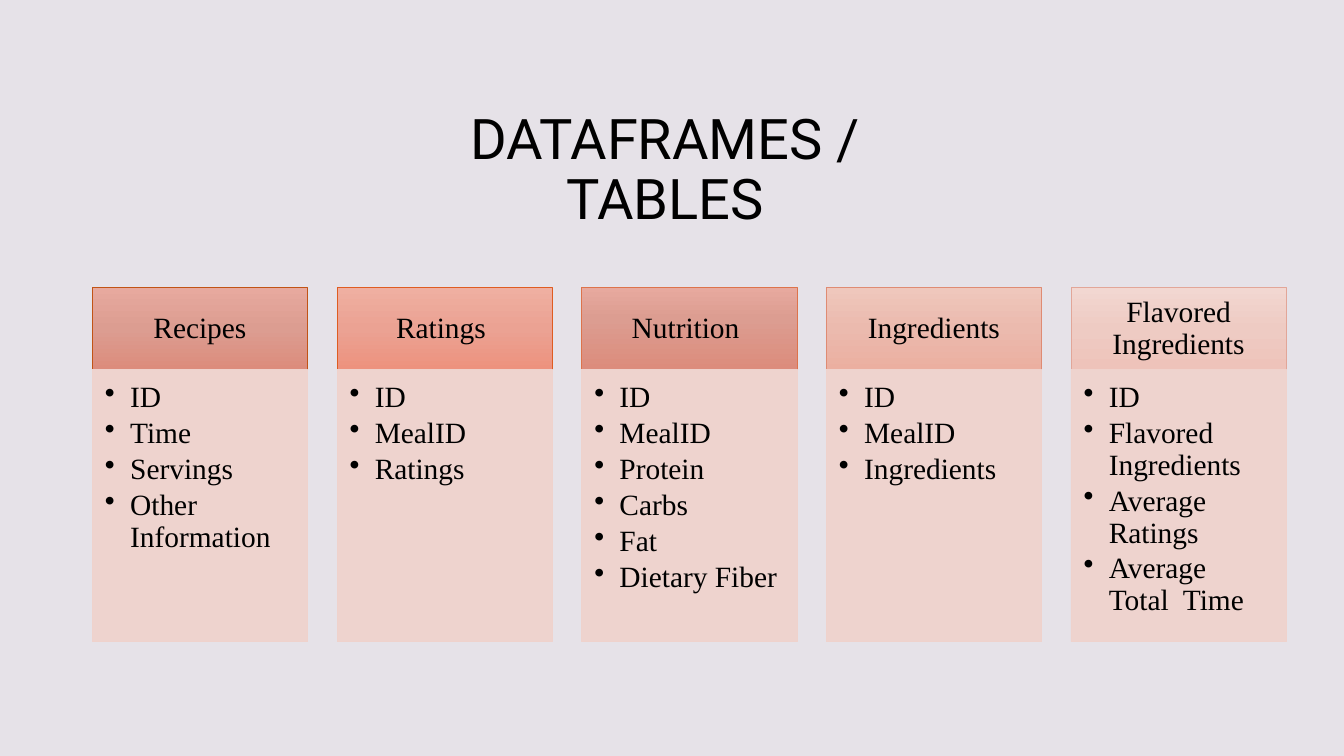
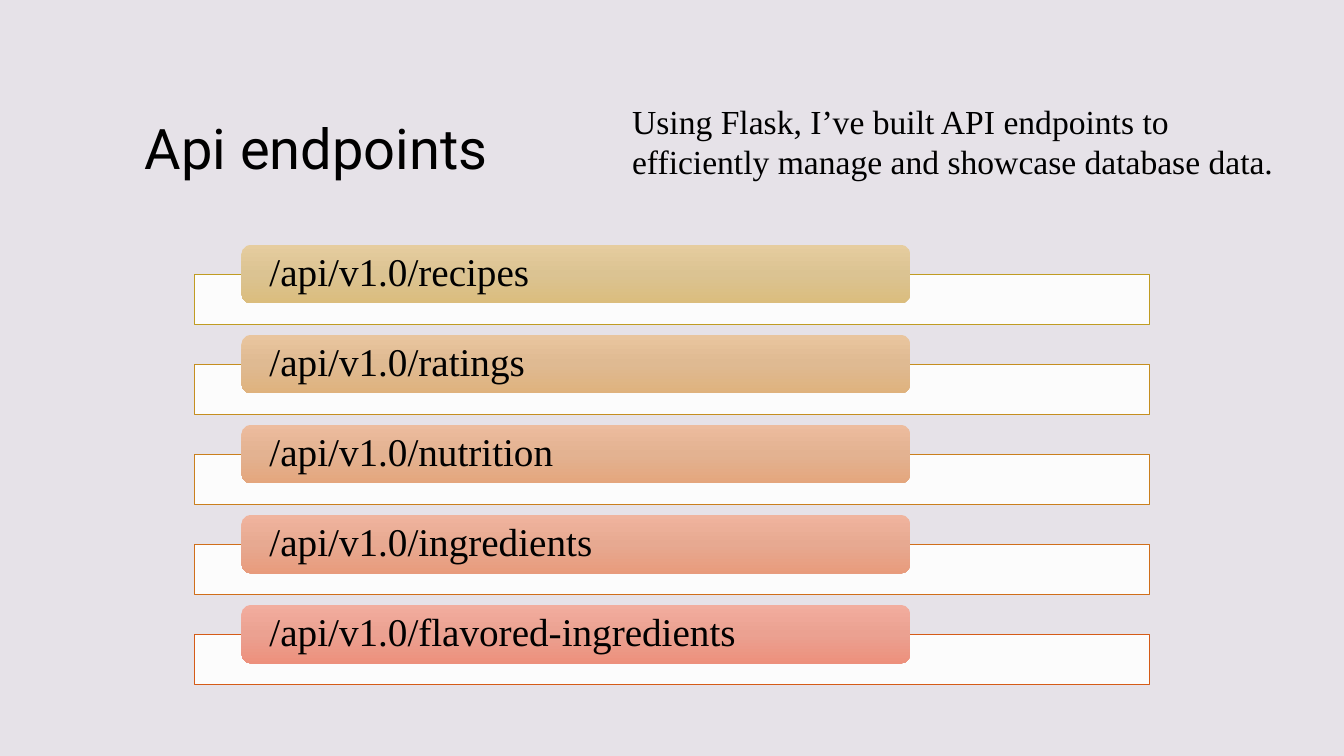
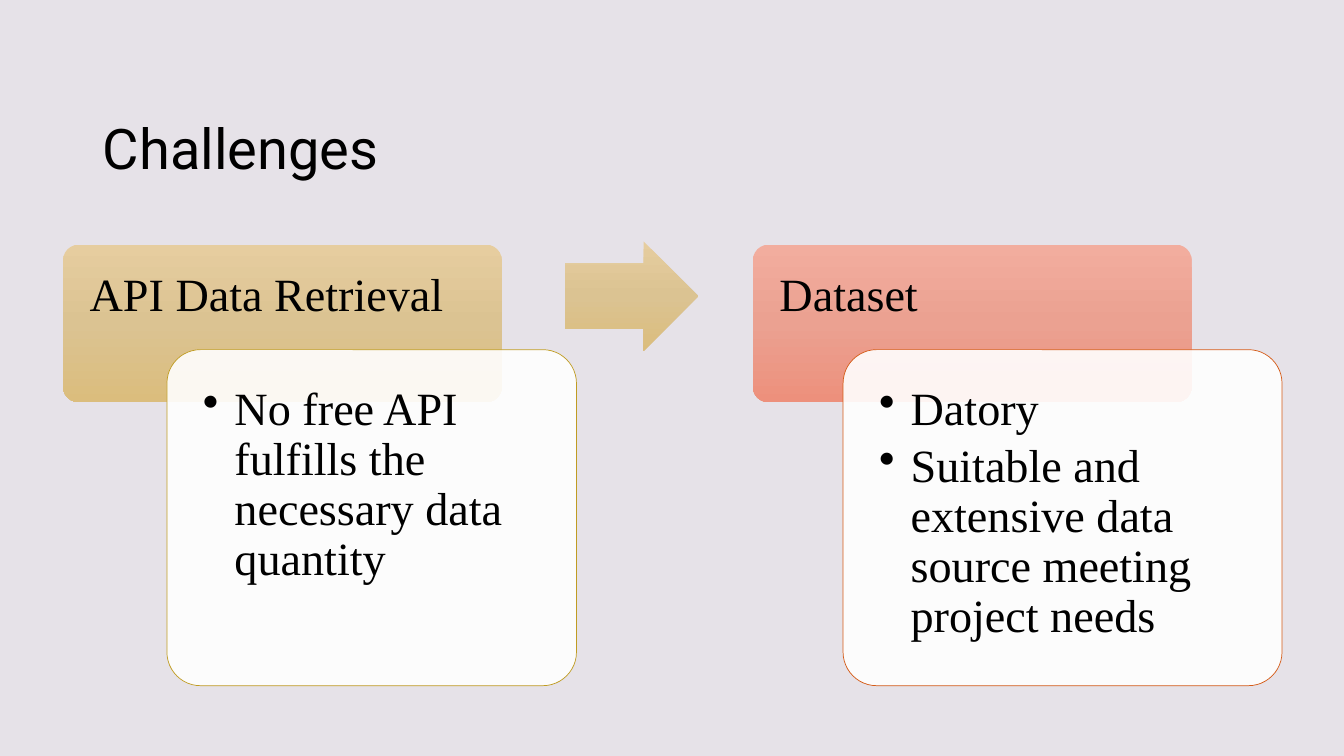
"""Build three slides on recipe tables, API endpoints and project challenges."""
from copy import deepcopy
from dataclasses import dataclass

from pptx import Presentation
from pptx.dml.color import RGBColor
from pptx.enum.shapes import MSO_SHAPE as Shape
from pptx.enum.text import MSO_ANCHOR as Anchor, PP_ALIGN as Align
from pptx.oxml.ns import qn
from pptx.oxml.xmlchemy import OxmlElement
from pptx.util import Emu, Pt

PX = 9525


@dataclass(frozen=True)
class Theme:
    background: str = "E6E2E8"
    ink: str = "000000"
    panel: str = "EFD2CC"
    card: str = "FFFFFF"
    gold: tuple = ("E6CD9F", "DBC392", "DBBD7D")
    coral: tuple = ("F2AD9E", "EBA191", "ED907C")
    brick: tuple = ("E7A99E", "DC9D91", "DC8C7C")
    gold_line: str = "C09C22"
    coral_line: str = "D55B17"
    title_font: str = "Roboto"
    body_font: str = "Times New Roman"
    title_size: int = 40
    column_size: int = 21
    note_size: int = 24
    endpoint_size: int = 28
    card_size: int = 33
    opacity: int = 90
    line_width: float = 0.5


THEME = Theme()

TABLES = [
    ("Recipes", THEME.brick, 50, "C15315", ["ID", "Time", "Servings", "Other Information"]),
    ("Ratings ", ("EFAFA1", "EBA293", "ED927E"), 50, "DF5C21", ["ID", "MealID", "Ratings"]),
    ("Nutrition ", THEME.brick, 38, "DD734B",
     ["ID", "MealID", "Protein", "Carbs", "Fat", "Dietary Fiber"]),
    ("Ingredients", ("EFC7BC", "EBBAAE", "EBAFA0"), 50, "DF8B73",
     ["ID", "MealID", "Ingredients"]),
    ("Flavored Ingredients", ("F2D7D1", "EECBC3", "EEC3BA"), 50, "E2A698",
     ["ID", "Flavored Ingredients", "Average Ratings", "Average Total  Time"]),
]
ENDPOINTS = [
    ("/api/v1.0/recipes", THEME.gold, THEME.gold_line),
    ("/api/v1.0/ratings", ("E9C59E", "DFBA92", "DFB27D"), "C58E1F"),
    ("/api/v1.0/nutrition", ("EDBC9E", "E3B291", "E4A67D"), "CA7F1D"),
    ("/api/v1.0/ingredients", ("F0B49E", "E7A991", "E89B7C"), "D06E1A"),
    ("/api/v1.0/flavored-ingredients", THEME.coral, THEME.coral_line),
]
NOTE = ("Using Flask, I’ve built API endpoints to efficiently manage "
        "and showcase database data.")
CHALLENGES = [
    ("API Data Retrieval", THEME.gold, THEME.gold_line, 60, (159, 390),
     ["No free API fulfills the necessary data quantity"]),
    ("Dataset", THEME.coral, THEME.coral_line, 717, (803, 418),
     ["Datory", "Suitable and extensive data source meeting project needs"]),
]


def px(*lengths):
    return [Emu(round(length * PX)) for length in lengths]


def rgb(value):
    return RGBColor.from_string(value)


def add_box(slide, kind, area, line=None, radius=None):
    box = slide.shapes.add_shape(kind, *px(*area))
    box.shadow.inherit = False
    if radius is not None:
        box.adjustments[0] = radius
    if line:
        box.line.color.rgb = rgb(line)
        box.line.width = Pt(THEME.line_width)
    else:
        box.line.fill.background()
    return box


def fill_gradient(box, colors, middle=50):
    box.fill.gradient()
    box.fill.gradient_angle = 270
    stop_list = box._element.spPr.find(qn("a:gradFill")).find(qn("a:gsLst"))
    stop_list.insert(1, deepcopy(stop_list[0]))
    for stop, color, place in zip(box.fill.gradient_stops, colors, (0, middle, 100)):
        stop.color.rgb = rgb(color)
        stop.position = place / 100


def fill_translucent(box, color):
    box.fill.solid()
    box.fill.fore_color.rgb = rgb(color)
    alpha = OxmlElement("a:alpha")
    alpha.set("val", str(THEME.opacity * 1000))
    box._element.spPr.find(qn("a:solidFill"))[0].append(alpha)


def write(box, lines, size, font=THEME.body_font, anchor=Anchor.MIDDLE, align=Align.LEFT,
          insets=(10, 5, 10, 5), spacing=0.9, hanging=0):
    frame = box.text_frame
    frame.word_wrap = True
    frame.vertical_anchor = anchor
    (frame.margin_left, frame.margin_top,
     frame.margin_right, frame.margin_bottom) = px(*insets)
    frame.text = "\n".join(lines)
    for para in frame.paragraphs:
        if hanging:
            properties = para._p.get_or_add_pPr()
            properties.set("marL", str(hanging * PX))
            properties.set("indent", str(-hanging * PX))
            bullet = OxmlElement("a:buChar")
            bullet.set("char", "•")
            properties.append(bullet)
            para.space_after = Pt(round(size * 0.15))
        para.alignment = align
        para.line_spacing = spacing
        para.font.name = font
        para.font.size = Pt(size)
        para.font.color.rgb = rgb(THEME.ink)


def add_page(deck, title, area, align=Align.LEFT):
    page = deck.slides.add_slide(deck.slide_layouts[6])
    write(page.shapes.add_textbox(*px(*area)), [title], THEME.title_size,
          THEME.title_font, Anchor.BOTTOM, align)
    return page


def build_tables(deck):
    page = add_page(deck, "DATAFRAMES / \vTABLES ", (88, 91, 1104, 135), Align.CENTER)
    left, top, width, pitch, head_height, body_height = 88, 274, 205, 233, 78, 259
    for index, (name, colors, middle, line, fields) in enumerate(TABLES):
        x = left + index * pitch
        head = add_box(page, Shape.RECTANGLE, (x, top, width, head_height), line)
        fill_gradient(head, colors, middle)
        write(head, [name], THEME.column_size, align=Align.CENTER, insets=(15, 9, 15, 9))
        body = add_box(page, Shape.RECTANGLE,
                       (x, top + head_height, width, body_height), THEME.panel)
        fill_translucent(body, THEME.panel)
        write(body, fields, THEME.column_size, anchor=Anchor.TOP,
              insets=(12, 12, 15, 17), hanging=24)


def build_endpoints(deck):
    page = add_page(deck, "Api endpoints", (128, 61, 1064, 117))
    first, last = 233, 576
    pitch = (last - first) / (len(ENDPOINTS) - 1)
    for index, (route, colors, line) in enumerate(ENDPOINTS):
        y = first + index * pitch
        rail = add_box(page, Shape.RECTANGLE, (185, y + 28, 910, 48), line)
        fill_translucent(rail, THEME.card)
        pill = add_box(page, Shape.ROUNDED_RECTANGLE, (230, y, 637, 56))
        fill_gradient(pill, colors)
        write(pill, [route], THEME.endpoint_size, insets=(24, 0, 24, 0))
    note = page.shapes.add_textbox(*px(592, 91, 640, 87))
    write(note, [NOTE], THEME.note_size, anchor=Anchor.TOP, spacing=1.0)


def build_challenges(deck):
    page = add_page(deck, "Challenges", (88, 61, 1104, 117))
    for name, colors, line, x, (card_x, card_width), points in CHALLENGES:
        head = add_box(page, Shape.ROUNDED_RECTANGLE, (x, 233, 418, 150), radius=0.1)
        fill_gradient(head, colors)
        write(head, [name], THEME.card_size, anchor=Anchor.TOP, insets=(21, 21, 21, 13))
        card = add_box(page, Shape.ROUNDED_RECTANGLE,
                       (card_x, 333, card_width, 320), line, 0.1)
        fill_translucent(card, THEME.card)
        write(card, points, THEME.card_size, anchor=Anchor.TOP,
              insets=(25, 25, 25, 25), hanging=30)
    arrow = add_box(page, Shape.RIGHT_ARROW, (538, 230, 127, 104), radius=0.6)
    fill_gradient(arrow, THEME.gold)


def main():
    deck = Presentation()
    deck.slide_width, deck.slide_height = px(1280, 720)
    backdrop = deck.slide_master.background.fill
    backdrop.solid()
    backdrop.fore_color.rgb = rgb(THEME.background)
    build_tables(deck)
    build_endpoints(deck)
    build_challenges(deck)
    deck.save("out.pptx")


if __name__ == "__main__":
    main()
